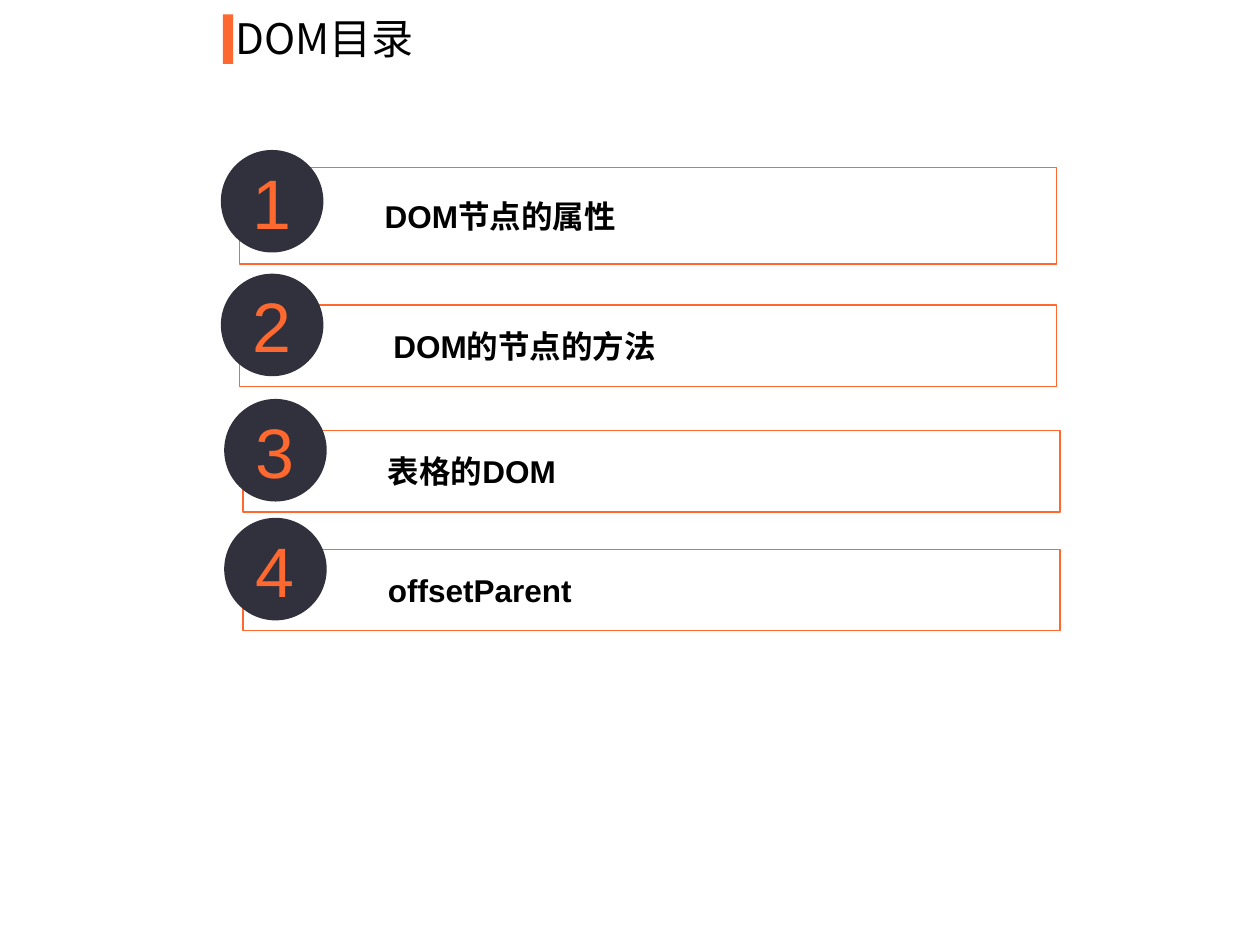
"""Build the DOM contents slide with four numbered entries."""
from dataclasses import dataclass

from lxml.etree import SubElement
from pptx import Presentation
from pptx.dml.color import RGBColor as RGB
from pptx.enum.shapes import MSO_SHAPE as Shape
from pptx.enum.text import MSO_ANCHOR as Anchor, MSO_AUTO_SIZE as AutoSize, PP_ALIGN as Align
from pptx.oxml.ns import qn
from pptx.util import Pt


@dataclass(frozen=True)
class Theme:
    accent: RGB = RGB(0xFF, 0x68, 0x2F)
    dark: RGB = RGB(0x30, 0x31, 0x3C)
    white: RGB = RGB(0xFF, 0xFF, 0xFF)
    black: RGB = RGB(0, 0, 0)
    latin: str = "Arial"
    cjk: str = "Noto Sans CJK SC"
    title: int = 24
    entry: int = 18
    number: int = 40


T = Theme()
BADGE = 58.6
ENTRIES = [
    ("DOM节点的属性", 137, 95.9, 55, 10.2),
    (" DOM的节点的方法", 137, 174.4, 46.6, 18),
    ("表格的DOM", 138.9, 246, 46.6, 18),
    ("offsetParent", 138.9, 313.9, 46.6, 18),
]


def add_run(p, text, size, color, font=T.latin, bold=False):
    r = p.add_run()
    r.text = text
    r.font.size, r.font.name, r.font.bold = Pt(size), font, bold
    r.font.color.rgb = color
    SubElement(r.font._element, qn("a:ea")).set("typeface", T.cjk)


def set_margins(tf, left, top, right, bottom):
    tf.margin_left, tf.margin_top = Pt(left), Pt(top)
    tf.margin_right, tf.margin_bottom = Pt(right), Pt(bottom)


def add_block(s, kind, x, y, w, h, fill, line=None):
    sp = s.shapes.add_shape(kind, Pt(x), Pt(y), Pt(w), Pt(h))
    sp.shadow.inherit = False
    sp.fill.solid()
    sp.fill.fore_color.rgb = fill
    if line is None:
        sp.line.fill.background()
    else:
        sp.line.color.rgb = line
        sp.line.width = Pt(0.75)
    sp.text_frame.vertical_anchor = Anchor.MIDDLE
    return sp


def add_title(s, text):
    add_block(s, Shape.RECTANGLE, 127.4, 8.2, 5.9, 28.4, T.accent)
    tf = s.shapes.add_textbox(Pt(127.4), Pt(3.6), Pt(289.4), Pt(36)).text_frame
    tf.word_wrap = True
    tf.auto_size = AutoSize.SHAPE_TO_FIT_TEXT
    add_run(tf.paragraphs[0], text, T.title, T.black, T.cjk)


def add_entry(s, number, text, x, y, h, rise):
    sp = add_block(s, Shape.RECTANGLE, x, y, 466.8, h, T.white, T.accent)
    alpha = SubElement(sp.fill._xPr.find(qn("a:solidFill"))[0], qn("a:alpha"))
    alpha.set("val", "40000")
    set_margins(sp.text_frame, 46.8, 6, 6, 6)
    p = sp.text_frame.paragraphs[0]
    p.level, p.alignment = 1, Align.LEFT
    add_run(p, text, T.entry, T.black, bold=True)

    badge = add_block(s, Shape.OVAL, x - 10.8, y - rise, BADGE, BADGE, T.dark)
    p = badge.text_frame.paragraphs[0]
    p.alignment = Align.CENTER
    add_run(p, str(number), T.number, T.accent)


def main():
    prs = Presentation()
    prs.slide_width, prs.slide_height = Pt(720), Pt(540)
    s = prs.slides.add_slide(prs.slide_layouts[6])
    add_title(s, "DOM目录")
    for number, entry in enumerate(ENTRIES, 1):
        add_entry(s, number, *entry)
    prs.save("out.pptx")


if __name__ == "__main__":
    main()
